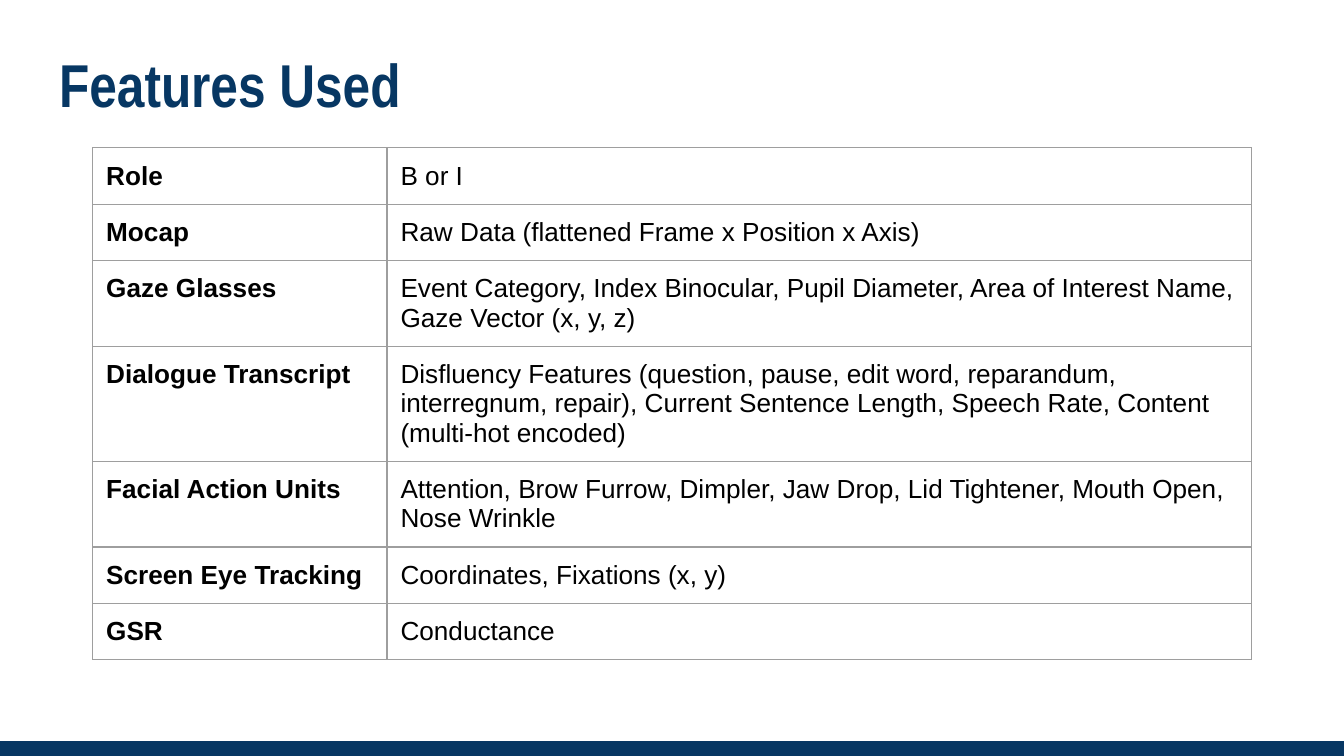
import pptx
import pptx.util
import pptx.dml.color
import pptx.enum.shapes
import pptx.enum.text
import pptx.oxml
import pptx.oxml.ns
from dataclasses import dataclass

TITLE = "Features Used"
ROWS = [
    ("Role", "B or I"),
    ("Mocap", "Raw Data (flattened Frame x Position x Axis)"),
    ("Gaze Glasses", "Event Category, Index Binocular, Pupil Diameter, "
     "Area of Interest Name, Gaze Vector (x, y, z)"),
    ("Dialogue Transcript", "Disfluency Features (question, pause, edit word, "
     "reparandum, interregnum, repair), Current Sentence Length, Speech Rate, "
     "Content (multi-hot encoded)"),
    ("Facial Action Units", "Attention, Brow Furrow, Dimpler, Jaw Drop, "
     "Lid Tightener, Mouth Open, Nose Wrinkle"),
    ("Screen Eye Tracking", "Coordinates, Fixations (x, y)"),
    ("GSR", "Conductance"),
]


@dataclass(frozen=True)
class Theme:
    navy: str = "073763"
    ink: str = "000000"
    rule: str = "9E9E9E"
    head: str = "Arial Narrow"
    body: str = "Arial"
    big: float = 32.4
    small: float = 14
    line: float = 0.75


theme = Theme()
inch = pptx.util.Inches
WIDE = 10
HIGH = WIDE * 9 / 16
BAR = 0.11
PAD = inch(0.1)
COLS = (2.19, 6.43)
ROW = 0.42


def color(code):
    return pptx.dml.color.RGBColor.from_string(code)


def style(part, face, size, code, bold):
    for run in part.runs:
        run.font.name = face
        run.font.size = pptx.util.Pt(size)
        run.font.color.rgb = color(code)
        run.font.bold = bold


def inset(box):
    box.margin_left = box.margin_right = PAD
    box.margin_top = box.margin_bottom = PAD


def border(cell):
    props = cell._tc.get_or_add_tcPr()
    for at, side in enumerate(("lnL", "lnR", "lnT", "lnB")):
        props.insert(at, pptx.oxml.parse_xml(
            f'<a:{side} {pptx.oxml.ns.nsdecls("a")} '
            f'w="{pptx.util.Pt(theme.line)}"><a:solidFill>'
            f'<a:srgbClr val="{theme.rule}"/></a:solidFill></a:{side}>'))


def main():
    deck = pptx.Presentation()
    deck.slide_width, deck.slide_height = inch(WIDE), inch(HIGH)
    slide = deck.slides.add_slide(deck.slide_layouts[5])

    title = slide.shapes.title
    title.left, title.top = inch(0.34), inch(0.25)
    title.width, title.height = inch(WIDE - 2 * 0.34), inch(0.77)
    frame = title.text_frame
    frame.text = TITLE
    frame.word_wrap = True
    frame.auto_size = pptx.enum.text.MSO_AUTO_SIZE.NONE
    frame.vertical_anchor = pptx.enum.text.MSO_ANCHOR.TOP
    inset(frame)
    frame.paragraphs[0].alignment = pptx.enum.text.PP_ALIGN.LEFT
    style(frame.paragraphs[0], theme.head, theme.big, theme.navy, True)

    bar = slide.shapes.add_shape(
        pptx.enum.shapes.MSO_SHAPE.RECTANGLE,
        0, inch(HIGH - BAR), inch(WIDE), inch(BAR))
    bar.shadow.inherit = False
    bar.fill.solid()
    bar.fill.fore_color.rgb = color(theme.navy)
    bar.line.fill.background()

    wide = sum(COLS)
    grid = slide.shapes.add_table(
        len(ROWS), len(COLS), inch((WIDE - wide) / 2), inch(1.1),
        inch(wide), inch(ROW * len(ROWS))).table
    grid.first_row = grid.horz_banding = False
    for col, size in zip(grid.columns, COLS):
        col.width = inch(size)
    for row, texts in zip(grid.rows, ROWS):
        row.height = inch(ROW)
        for at, (cell, text) in enumerate(zip(row.cells, texts)):
            cell.text_frame.text = text
            inset(cell)
            cell.fill.background()
            border(cell)
            style(cell.text_frame.paragraphs[0], theme.body, theme.small,
                  theme.ink, at == 0)

    deck.save("out.pptx")


if __name__ == "__main__":
    main()
